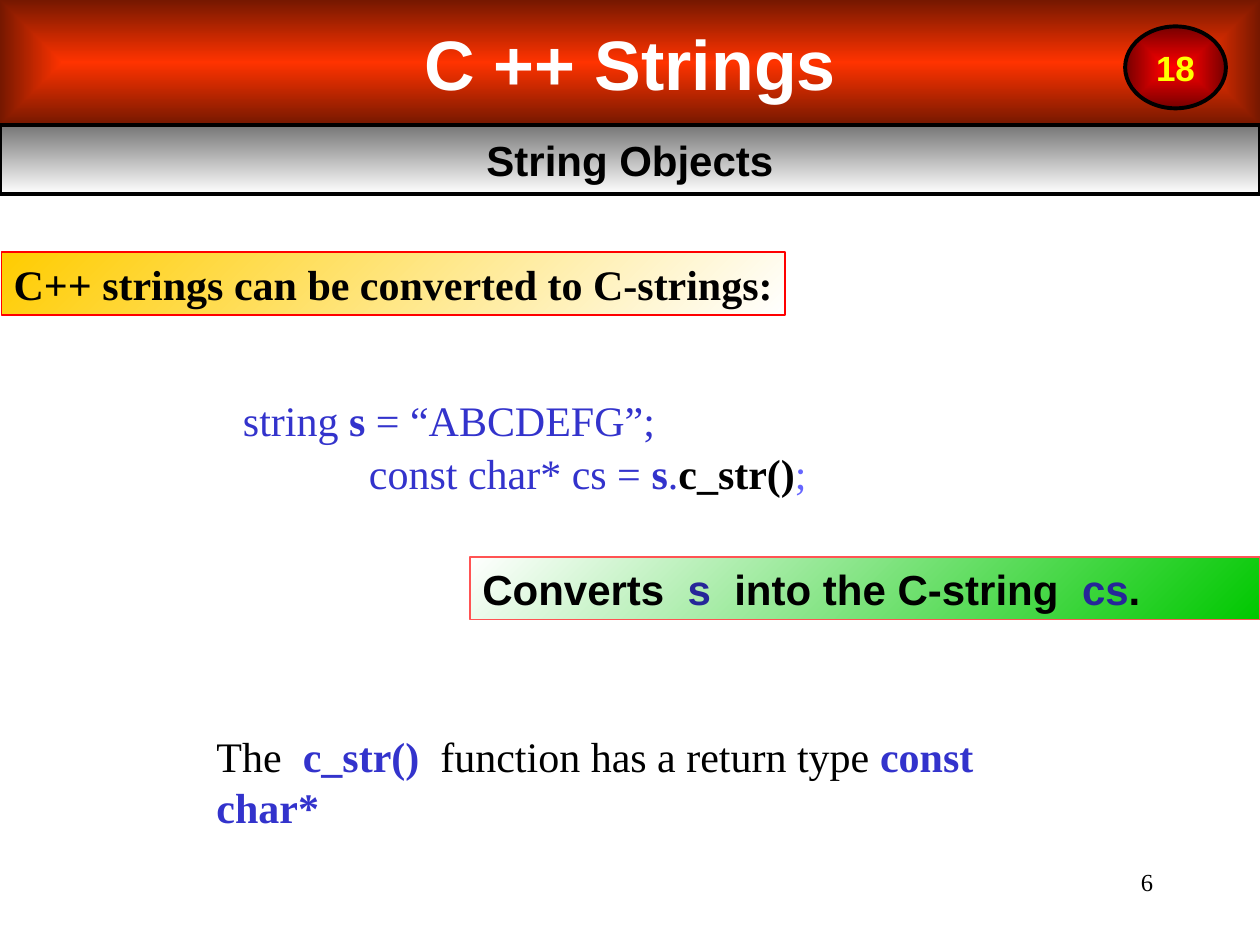
from lxml import etree
from pptx import Presentation
from pptx.dml.color import RGBColor
from pptx.enum.shapes import MSO_SHAPE
from pptx.enum.text import MSO_ANCHOR, PP_ALIGN
from pptx.oxml import parse_xml
from pptx.oxml.ns import nsdecls, qn
from pptx.util import Inches, Pt

COLORS = {
    "black": "000000", "white": "FFFFFF", "yellow": "FFFF00",
    "banner": "FF3300", "banner_edge": "761800",
    "gray": "767676", "red": "FF0000", "dark_red": "760000",
    "gold": "FFCC00", "green": "00C800", "pink": "FF5353",
    "blue": "3333CC", "navy": "262699", "violet": "6666FF",
}
SANS, SERIF = "Arial", "Times New Roman"


def rgb(name):
    return RGBColor.from_string(COLORS[name])


def place(shape, box):
    for name, value in zip(("left", "top", "width", "height"), box):
        setattr(shape, name, Inches(value))


def fill_gradient(shape, start, end, angle=None):
    """Fill linearly at a clockwise angle, or from the centre without one."""
    fill = shape.fill
    fill.gradient()
    for stop, color in zip(fill.gradient_stops, (start, end)):
        stop.color.rgb = rgb(color)
    if angle is not None:
        fill.gradient_angle = 360 - angle
        return
    linear = shape._element.spPr.find(".//" + qn("a:lin"))
    path_fill = parse_xml(f'<a:path {nsdecls("a")} path="rect"/>')
    etree.SubElement(path_fill, qn("a:fillToRect"), l="50000", t="50000", r="50000", b="50000")
    linear.getparent().replace(linear, path_fill)


def write(paragraph, runs, font, size, align=PP_ALIGN.LEFT):
    """Add runs given as (text, color, bold)."""
    paragraph.alignment = align
    for text, color, bold in runs:
        run = paragraph.add_run()
        run.text = text
        for name, value in {"name": font, "size": Pt(size), "bold": bold}.items():
            setattr(run.font, name, value)
        run.font.color.rgb = rgb(color)


def format_frame(shape, wrap=True, anchor=MSO_ANCHOR.TOP):
    values = {"word_wrap": wrap, "vertical_anchor": anchor}
    for name, value in values.items():
        setattr(shape.text_frame, name, value)
    return shape.text_frame.paragraphs[0]


def add_panel(slide, box, gradient, line, preset=MSO_SHAPE.RECTANGLE, **frame):
    """Add an outlined gradient shape and return its first paragraph."""
    shape = slide.shapes.add_shape(preset, *map(Inches, box))
    shape.shadow.inherit = False
    fill_gradient(shape, *gradient)
    color, width = line
    shape.line.color.rgb = rgb(color)
    shape.line.width = Pt(width)
    return format_frame(shape, **frame)


def add_text(slide, box, wrap=True):
    return format_frame(slide.shapes.add_textbox(*map(Inches, box)), wrap)


def add_header(slide, box):
    left, top, width, height = box
    banner_height = 0.99
    title = slide.shapes.title
    place(title, (left, top, width, banner_height))
    fill_gradient(title, "banner", "banner_edge")
    write(format_frame(title, anchor=MSO_ANCHOR.MIDDLE),
          [("C ++ Strings", "white", True)], SANS, 40, PP_ALIGN.CENTER)

    outline = ("black", 2.25)
    subtitle = add_panel(slide, (left, top + banner_height, width, height - banner_height),
                         ("gray", "white", 90), outline, anchor=MSO_ANCHOR.MIDDLE)
    write(subtitle, [("String Objects", "black", True)], SANS, 24, PP_ALIGN.CENTER)

    badge = add_panel(slide, (left + width - 1.07, top + 0.21, 0.8, 0.65),
                      ("red", "dark_red"), outline, MSO_SHAPE.OVAL,
                      wrap=False, anchor=MSO_ANCHOR.MIDDLE)
    write(badge, [("18", "yellow", True)], SANS, 20, PP_ALIGN.CENTER)


def add_code(slide, box):
    first = add_text(slide, box)
    second = slide.shapes[-1].text_frame.add_paragraph()
    write(first, [("string ", "blue", False), ("s", "blue", True),
                  (" = “ABCDEFG”;", "blue", False)], SERIF, 24)
    write(second, [("const char* cs = ", "blue", False), ("s", "blue", True),
                   (".", "blue", False), ("c_str()", "black", True),
                   (";", "violet", False)], SERIF, 24)
    second.space_before = Pt(1.5)
    for paragraph, indent in ((first, 1), (second, 2)):
        paragraph._p.get_or_add_pPr().set("marL", str(Inches(indent)))


def add_body(slide, box):
    left, top, width, height = box
    add_code(slide, (left + 0.83, top + 1.08, 8.75, 0.9))

    note = add_panel(slide, (left + 3.73, top + 2.42, width - 3.73, 0.5),
                     ("white", "green", 45), ("pink", 0.75))
    write(note, [("Converts  ", "black", True), ("s", "navy", True),
                 ("  into the C-string  ", "black", True), ("cs", "navy", True),
                 (".", "black", True)], SANS, 24)

    heading = add_panel(slide, (left + 0.01, top, 6.22, 0.5),
                        ("gold", "white", 45), ("red", 0.75), wrap=False)
    write(heading, [("C++ strings can be converted to C-strings:", "black", True)], SERIF, 24)

    summary = add_text(slide, (left + 1.62, top + 3.75, 7.1, 0.5), wrap=False)
    write(summary, [("The  ", "black", False), ("c_str()  ", "blue", True),
                    ("function has a return type ", "black", False),
                    ("const char*", "blue", True)], SERIF, 24)


def add_page_number(slide, box):
    write(add_text(slide, box), [("6", "black", False)], SERIF, 14, PP_ALIGN.RIGHT)


def main():
    presentation = Presentation()
    presentation.slide_width, presentation.slide_height = Inches(10), Inches(7.5)
    slide = presentation.slides.add_slide(presentation.slide_layouts[5])
    add_header(slide, (0, 0, 10, 1.54))
    add_body(slide, (0, 2, 10, 4.25))
    add_page_number(slide, (7.17, 6.83, 2.08, 0.5))
    presentation.save("out.pptx")


if __name__ == "__main__":
    main()
